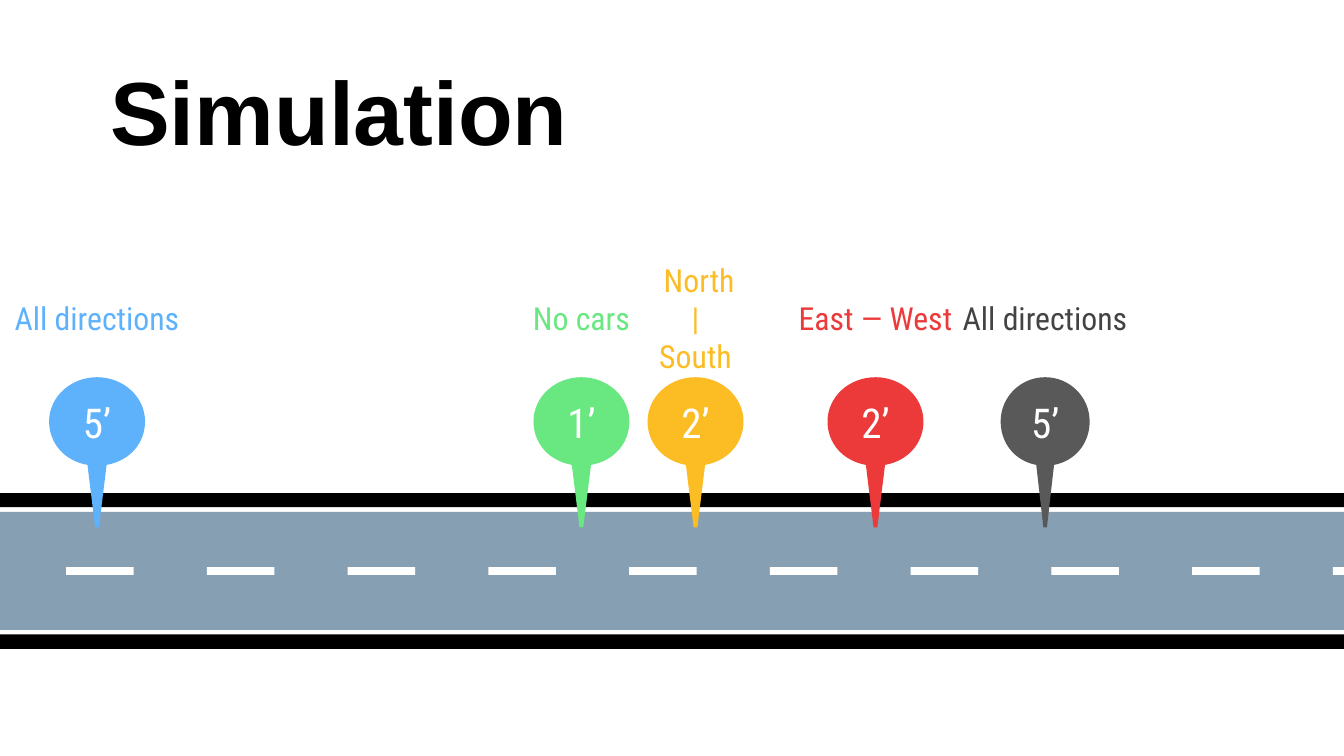
"""Build a slide of timed traffic phases pinned along a road."""
from typing import NamedTuple

import lxml.etree
import pptx
import pptx.dml.color
import pptx.enum.shapes
import pptx.enum.text
import pptx.oxml.ns
import pptx.util

Pt = pptx.util.Pt
RGBColor = pptx.dml.color.RGBColor
Shape = pptx.enum.shapes.MSO_SHAPE
Align = pptx.enum.text.PP_ALIGN
Anchor = pptx.enum.text.MSO_ANCHOR
Point = tuple[float, float]

BLACK = RGBColor(0x00, 0x00, 0x00)
WHITE = RGBColor(0xFF, 0xFF, 0xFF)
ASPHALT = RGBColor(0x86, 0x9F, 0xB2)
GREEN = RGBColor(0x69, 0xE7, 0x81)
YELLOW = RGBColor(0xFC, 0xBD, 0x24)
RED = RGBColor(0xEC, 0x3A, 0x3B)
BLUE = RGBColor(0x5E, 0xB2, 0xFC)
GRAY = RGBColor(0x59, 0x59, 0x59)
DARK_GRAY = RGBColor(0x43, 0x43, 0x43)

FONT = "Roboto Condensed"
INSET = 7.2
ROAD_WIDTH = 815.8
DASH_LEFT, DASH_PITCH, DASH_COUNT = 35.4, 75.4, 10
PIN_TOP, PIN_HEIGHT = 202.1, 80.4
LABEL_TOP, LABEL_HEIGHT = 153.4, 33.8


class Bar(NamedTuple):
    left: float
    top: float
    width: float
    height: float
    color: RGBColor


class Pin(NamedTuple):
    center: float
    minutes: str
    label: str
    color: RGBColor
    label_color: RGBColor
    width: float = 51.4
    label_width: float = 159.8


ROAD_BARS = [
    Bar(0, 264.2, ROAD_WIDTH, 7.6, BLACK),
    Bar(0, 339.8, ROAD_WIDTH, 7.9, BLACK),
] + [
    Bar(DASH_LEFT + i * DASH_PITCH, 303.8, 36.2, 4.3, WHITE) for i in range(DASH_COUNT)
]

PINS = [
    Pin(311.5, "1’", "No cars", GREEN, GREEN),
    Pin(372.6, "2’", " North\n|\nSouth", YELLOW, YELLOW),
    Pin(469, "2’", "East — West", RED, RED),
    Pin(52, "5’", "All directions", BLUE, BLUE),
    Pin(559.9, "5’", "All directions", GRAY, DARK_GRAY, 47.7, 148.3),
]

TOP: Point = (0, 0)
LEFT_HALF: list[list[Point]] = [
    [(-0.55, 0), (-1, 10.6), (-1, 23.7)],
    [(-1, 35.4), (-0.68, 44.8), (-0.2, 47)],
    [(-0.04, PIN_HEIGHT)],
]


def paint(shape, color: RGBColor) -> None:
    """Give a shape a plain fill with no outline or shadow."""
    shape.shadow.inherit = False
    shape.fill.solid()
    shape.fill.fore_color.rgb = color
    shape.line.fill.background()


def write(shape, text: str, *, size: float, color: RGBColor, font: str = FONT,
          bold: bool = False, align=Align.CENTER, anchor=Anchor.MIDDLE,
          top_inset: float = INSET) -> None:
    """Write formatted text, one paragraph per line."""
    frame = shape.text_frame
    frame.word_wrap = True
    frame.vertical_anchor = anchor
    frame.margin_left = frame.margin_right = frame.margin_bottom = Pt(INSET)
    frame.margin_top = Pt(top_inset)
    frame.text = text
    for paragraph in frame.paragraphs:
        paragraph.alignment = align
        for run in paragraph.runs:
            run.font.name = font
            run.font.size = Pt(size)
            run.font.bold = bold
            run.font.color.rgb = color


def draw_bar(slide, bar: Bar, preset=Shape.RECTANGLE):
    """Draw one flat piece of the road."""
    shape = slide.shapes.add_shape(
        preset, Pt(bar.left), Pt(bar.top), Pt(bar.width), Pt(bar.height))
    paint(shape, bar.color)
    return shape


def draw_road(slide) -> None:
    """Draw the asphalt, its borders and the dashed centre line."""
    asphalt = draw_bar(slide, Bar(0, 274.3, 861.1, 63.1, ASPHALT), Shape.PENTAGON)
    asphalt.adjustments[0] = 0.73
    for bar in ROAD_BARS:
        draw_bar(slide, bar)


def pin_segments() -> list[list[Point]]:
    """Return the left half of the outline followed by its mirror image."""
    starts = [TOP] + [segment[-1] for segment in LEFT_HALF]
    right_half = []
    for start, segment in reversed(list(zip(starts, LEFT_HALF))):
        backwards = segment[-2::-1] + [start] if len(segment) > 1 else [start]
        right_half.append([(-x, y) for x, y in backwards])
    tip_x, tip_y = starts[-1]
    return LEFT_HALF + [[(-tip_x, tip_y)]] + right_half


def build_marker(slide, pin: Pin):
    """Build the pin outline, turning its rounded segments into curves."""
    radius = pin.width / 2
    segments = pin_segments()
    builder = slide.shapes.build_freeform(Pt(pin.center), Pt(PIN_TOP))
    builder.add_line_segments(
        [(Pt(pin.center + x * radius), Pt(PIN_TOP + y))
         for x, y in (segment[-1] for segment in segments)], close=True)
    marker = builder.convert_to_shape()
    lines = list(marker.element.iter(pptx.oxml.ns.qn("a:lnTo")))
    for line, segment in zip(lines, segments):
        if len(segment) == 1:
            continue
        line.tag = pptx.oxml.ns.qn("a:cubicBezTo")
        line.clear()
        for x, y in segment:
            lxml.etree.SubElement(line, pptx.oxml.ns.qn("a:pt"),
                                  x=str(Pt((x + 1) * radius)), y=str(Pt(y)))
    return marker


def draw_pin(slide, pin: Pin) -> None:
    """Draw a pin with its duration and the label above it."""
    marker = build_marker(slide, pin)
    paint(marker, pin.color)
    write(marker, pin.minutes, size=22, color=WHITE, anchor=Anchor.TOP, top_inset=10.8)
    label = slide.shapes.add_textbox(
        Pt(pin.center - pin.label_width / 2), Pt(LABEL_TOP),
        Pt(pin.label_width), Pt(LABEL_HEIGHT))
    write(label, pin.label, size=17, color=pin.label_color)


def main() -> None:
    """Assemble and save the presentation."""
    presentation = pptx.Presentation()
    presentation.slide_width = Pt(720)
    presentation.slide_height = Pt(405)
    slide = presentation.slides.add_slide(presentation.slide_layouts[6])
    draw_road(slide)
    for pin in PINS:
        draw_pin(slide, pin)
    title = slide.shapes.add_textbox(Pt(52), Pt(32.4), Pt(615.6), Pt(52.6))
    write(title, "Simulation", size=48, color=BLACK, font="Arial", bold=True,
          align=Align.LEFT)
    presentation.save("out.pptx")


if __name__ == "__main__":
    main()
